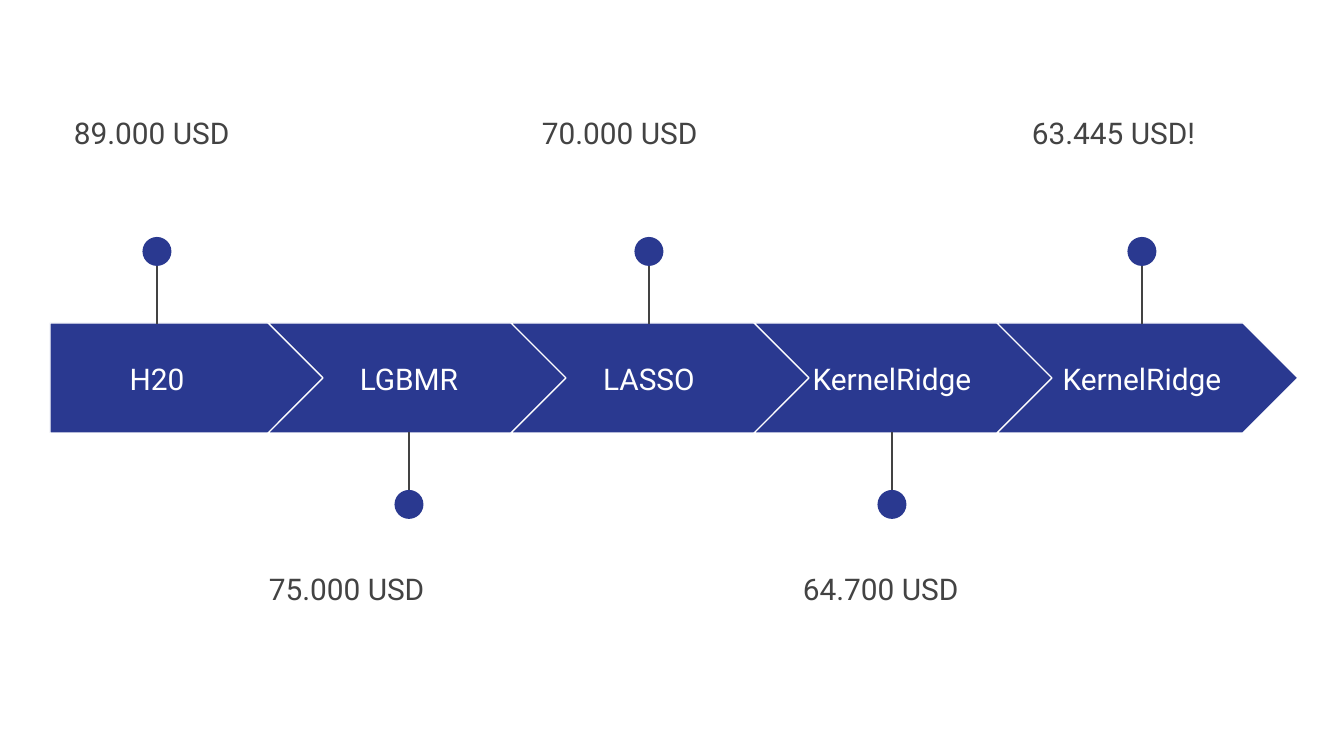
import lxml.etree
import pptx
import pptx.dml.color
import pptx.enum.shapes
import pptx.enum.text
import pptx.oxml.ns
import pptx.util

PX = 914400 / 134.4  # EMU in one px
THEME = {
    "blue": pptx.dml.color.RGBColor.from_string("2A3990"),
    "white": pptx.dml.color.RGBColor.from_string("FFFFFF"),
    "gray": pptx.dml.color.RGBColor.from_string("434343"),
    "font": "Roboto",
    "text_size": pptx.util.Pt(16),
    "line_width": pptx.util.Pt(0.75),
}
SHAPES = pptx.enum.shapes.MSO_SHAPE


def px(*lengths):
    """Turn px lengths into EMU."""
    return [round(length * PX) for length in lengths]


def add_text(slide, box, text, color, left_inset=13, top_inset=13):
    """Add a one-line text box and return its frame."""
    frame = slide.shapes.add_textbox(*px(*box)).text_frame
    frame.word_wrap = True
    frame.margin_left, frame.margin_top, frame.margin_right, frame.margin_bottom = px(
        left_inset, top_inset, 13, 13)
    run = frame.paragraphs[0].add_run()
    run.text = text
    run.font.name = THEME["font"]
    run.font.size = THEME["text_size"]
    run.font.color.rgb = color
    return frame


presentation = pptx.Presentation()
presentation.slide_width, presentation.slide_height = px(1344, 756)
slide = presentation.slides.add_slide(presentation.slide_layouts[6])

# model, price, marker centre, price box left, price inset
steps = [
    ("H20", "89.000 USD", 157, 47, 27),
    ("LGBMR", "75.000 USD", 409, 183, 86),
    ("LASSO", "70.000 USD", 649, 485, 57),
    ("KernelRidge", "64.700 USD", 892, 754, 49),
    ("KernelRidge", "63.445 USD!", 1142, 982, 50),
]
ARROW_TOP, ARROW_HEIGHT = 323, 110
DOT = 29

for index, (model, price, center, price_left, price_inset) in enumerate(steps):
    if index == 0:
        kind, left, width, label_width = SHAPES.PENTAGON, 50, 276, 214
    else:
        kind, left, width, label_width = SHAPES.CHEVRON, 25 + 243 * index, 301, 194
    arrow = slide.shapes.add_shape(kind, *px(left, ARROW_TOP, width, ARROW_HEIGHT))
    arrow.adjustments[0] = 0.5
    arrow.shadow.inherit = False
    arrow.fill.solid()
    arrow.fill.fore_color.rgb = THEME["blue"]
    arrow.line.color.rgb = THEME["white"]
    arrow.line.width = THEME["line_width"]

    label = add_text(slide, (center - label_width / 2, 344, label_width, 69),
                     model, THEME["white"])
    label.vertical_anchor = pptx.enum.text.MSO_ANCHOR.MIDDLE
    label.paragraphs[0].alignment = pptx.enum.text.PP_ALIGN.CENTER

    # Prices alternate above and below the arrows.
    if index % 2 == 0:
        stem_start, stem_end, dot_top, price_top, price_drop = 242, 324, 237, 56, 79
    else:
        stem_start, stem_end, dot_top, price_top, price_drop = 513, 432, 490, 552, 13

    marker = slide.shapes.add_group_shape()
    stem = marker.shapes.add_connector(
        pptx.enum.shapes.MSO_CONNECTOR.STRAIGHT, *px(center, stem_start, center, stem_end))
    stem.line.color.rgb = THEME["gray"]
    stem.line.width = THEME["line_width"]
    lxml.etree.SubElement(stem._element.spPr, pptx.oxml.ns.qn("a:effectLst"))
    dot = marker.shapes.add_shape(SHAPES.OVAL, *px(center - DOT / 2, dot_top, DOT, DOT))
    dot.shadow.inherit = False
    dot.fill.solid()
    dot.fill.fore_color.rgb = THEME["blue"]
    dot.line.fill.background()

    price_frame = add_text(slide, (price_left, price_top, 329, 133), price,
                           THEME["gray"], price_inset, price_drop)
    price_frame.paragraphs[0].line_spacing = 1.15

presentation.save("out.pptx")
